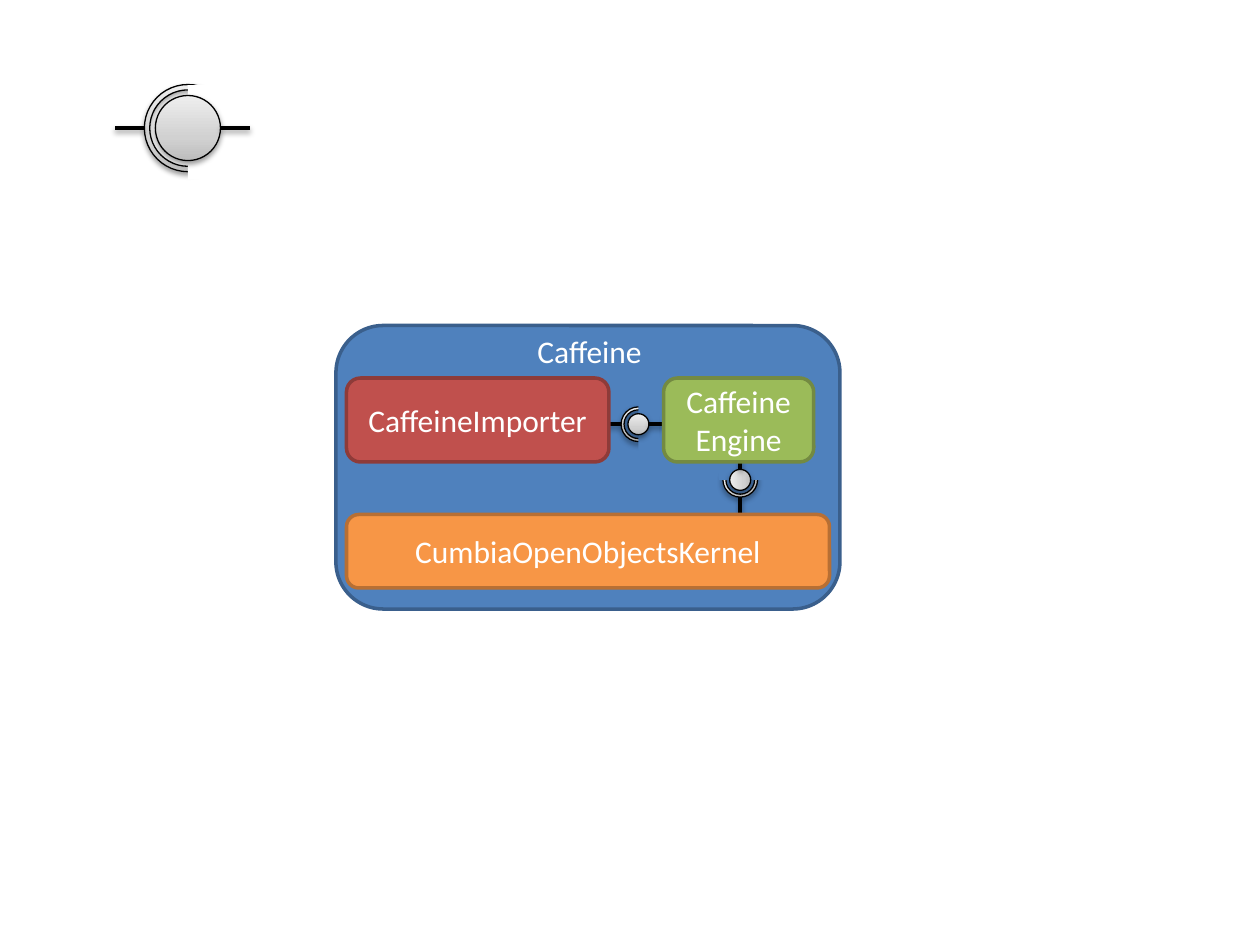
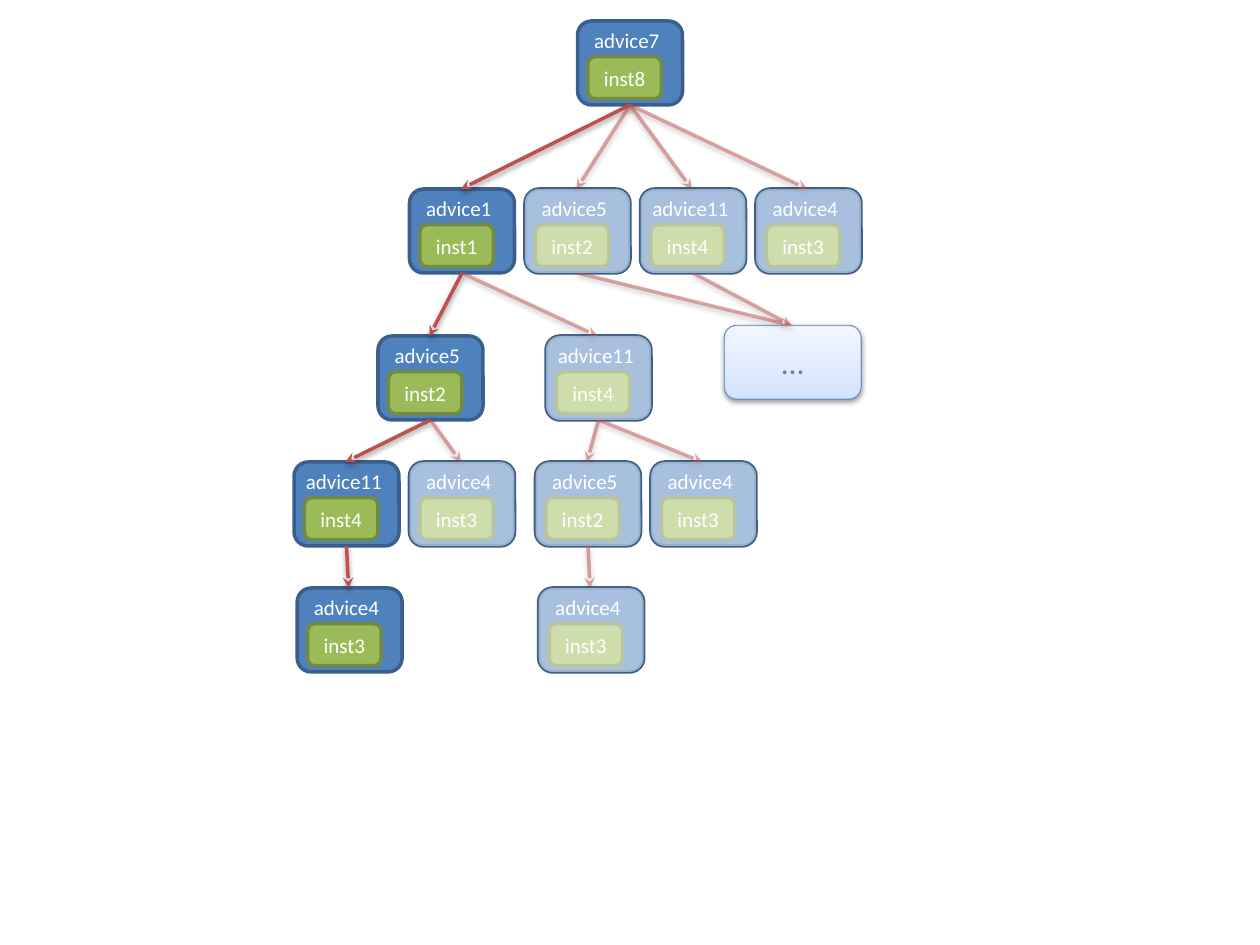
"""Draw a component diagram and an advice tree on a grid of 120 columns by 90 rows."""
from dataclasses import dataclass
from typing import Any, NamedTuple, Optional

from lxml import etree
from pptx import Presentation
from pptx import util as u
from pptx.dml.color import RGBColor
from pptx.enum import shapes, text
from pptx.oxml import ns

COLOURS = {
    "white": "FFFFFF", "black": "000000", "red": "C0504D", "red_edge": "8E3B39",
    "blue": "4F81BD", "blue_edge": "3A5F8C", "green": "9BBB59", "green_edge": "738A42",
    "orange": "F79646", "orange_edge": "B76F34", "pale_edge": "4B7EBC",
}
GRADIENTS = {
    "grey": ("BDBDBD", "D1D1D1", "EEEEEE"),
    "pale": ("A4C4FF", "BFD4FF", "E6EEFF"),
}
STOPS = (0, 35, 100)
COLUMNS, ROWS = 120, 90
FONT = "Calibri"
SHAPE = shapes.MSO_SHAPE
CELL = u.Inches(10) // COLUMNS


class Box(NamedTuple):
    """A rectangle in grid cells."""
    x: float
    y: float
    w: float
    h: float

    @property
    def top(self) -> tuple[float, float]:
        """Return the middle of the top edge."""
        return self.x + self.w / 2, self.y

    @property
    def bottom(self) -> tuple[float, float]:
        """Return the middle of the bottom edge."""
        return self.x + self.w / 2, self.y + self.h


@dataclass(frozen=True)
class Socket:
    """A ball-and-socket joint, turned a quarter to the left if upright."""
    x: float
    y: float
    ring: float
    ball: float
    mask: tuple[float, float]
    drop: float
    band: float
    ground: str
    upright: bool = False


@dataclass(frozen=True)
class Component:
    """A coloured box of the component diagram."""
    label: str
    box: Box
    colour: str


@dataclass(frozen=True)
class Node:
    """An advice with its instance; active nodes lie on the chosen way."""
    x: float
    y: float
    advice: int
    inst: int
    active: bool = False

    @property
    def box(self) -> Box:
        """Return the outline of the node."""
        return Box(self.x, self.y, 10, 8)


LEAD = 2.8
SMALL = {"ring": 3.3, "ball": 2, "mask": (2, 5), "drop": 0.5, "band": 0.086, "ground": "blue"}
SOCKETS = [
    Socket(60.8, 40.4, **SMALL),
    Socket(70.5, 45.7, upright=True, **SMALL),
    Socket(17.9, 12.2, 8.3, 6.2, (4.8, 9), 0.4, 0.062, "white"),
]
COMPONENTS = [
    Component("CaffeineImporter", Box(33, 36, 25, 8), "red"),
    Component("Caffeine\vEngine", Box(63.2, 36, 14.3, 8), "green"),
    Component("CumbiaOpenObjectsKernel", Box(33, 49, 46, 7), "orange"),
]
NODES = {
    "root": Node(55, 2, 7, 8, True),
    "a": Node(39, 18, 1, 1, True),
    "b": Node(50, 18, 5, 2),
    "c": Node(61, 18, 11, 4),
    "d": Node(72, 18, 4, 3),
    "aa": Node(36, 32, 5, 2, True),
    "ab": Node(52, 32, 11, 4),
    "aaa": Node(28, 44, 11, 4, True),
    "aab": Node(39, 44, 4, 3),
    "aba": Node(51, 44, 5, 2),
    "abb": Node(62, 44, 4, 3),
    "aaaa": Node(28.3, 56, 4, 3, True),
    "abaa": Node(51.3, 56, 4, 3),
}
CHILDREN = {
    "root": ("a", "d", "c", "b"), "a": ("aa", "ab"), "aa": ("aaa", "aab"),
    "ab": ("aba", "abb"), "aaa": ("aaaa",), "aba": ("abaa",),
}
MORE = Box(69, 31, 13, 7)


def rgb(name: str) -> RGBColor:
    """Return a named colour."""
    return RGBColor.from_string(COLOURS[name])


def emu(*cells: float) -> list[int]:
    """Turn grid cells into slide lengths."""
    return [round(c * CELL) for c in cells]


def add(parent: Any, tag: str, **attrs: Any) -> Any:
    """Append a drawing element with attributes."""
    return etree.SubElement(parent, ns.qn(tag), {k: str(v) for k, v in attrs.items()})


def fade(part: Any, percent: int) -> None:
    """Make the first colour inside a drawing element see-through."""
    add(next(part.iter(ns.qn("a:srgbClr"))), "a:alpha", val=percent * 1000)


def set_effects(sp: Any, shadow: bool) -> None:
    """Give an object a soft shadow, or none."""
    effects = add(sp._element.spPr, "a:effectLst")
    if shadow:
        outer = add(effects, "a:outerShdw", blurRad=u.Pt(3.1), dist=u.Pt(1.6),
                    dir=5400000, rotWithShape=0)
        add(add(outer, "a:srgbClr", val=COLOURS["black"]), "a:alpha", val=38000)


def set_gradient(sp: Any, name: str) -> None:
    """Fill a shape with a gradient that runs upwards."""
    grad = etree.Element(ns.qn("a:gradFill"), {"rotWithShape": "1"})
    stops = add(grad, "a:gsLst")
    for pos, colour in zip(STOPS, GRADIENTS[name]):
        add(add(stops, "a:gs", pos=pos * 1000), "a:srgbClr", val=colour)
    add(grad, "a:lin", ang=16200000, scaled=0)
    sp._element.spPr.find(ns.qn("a:prstGeom")).addnext(grad)


def write(sp: Any, words: str, *, size: float = 18, colour: str = "white",
          align: Any = text.PP_ALIGN.CENTER, anchor: Any = text.MSO_ANCHOR.MIDDLE,
          wrap: bool = True) -> None:
    """Put formatted text into a shape."""
    tf = sp.text_frame
    tf.word_wrap, tf.vertical_anchor = wrap, anchor
    p = tf.paragraphs[0]
    p.text, p.alignment = words, align
    for r in p.runs:
        r.font.name, r.font.size, r.font.color.rgb = FONT, u.Pt(size), rgb(colour)


def draw_caption(s: Any, words: str, box: Box, **style: Any) -> None:
    """Add a text box that starts at its top left."""
    write(s.shapes.add_textbox(*emu(*box)), words, align=text.PP_ALIGN.LEFT,
          anchor=text.MSO_ANCHOR.TOP, **style)


def draw_shape(s: Any, kind: Any, box: Box, fill: str, *, edge: Optional[str] = None,
               width: float = 2, shadow: bool = False, alpha: int = 100) -> Any:
    """Add a preset shape with its fill, edge and shadow."""
    sp = s.shapes.add_shape(kind, *emu(*box))
    if fill in GRADIENTS:
        set_gradient(sp, fill)
    else:
        sp.fill.solid()
        sp.fill.fore_color.rgb = rgb(fill)
        if alpha < 100:
            fade(sp._element.spPr, alpha)
    if edge:
        sp.line.color.rgb, sp.line.width = rgb(edge), u.Pt(width)
    else:
        sp.line.fill.background()
    set_effects(sp, shadow)
    return sp


def draw_card(s: Any, box: Box, colour: str) -> Any:
    """Add a rounded box with a darker edge of its own colour."""
    return draw_shape(s, SHAPE.ROUNDED_RECTANGLE, box, colour, edge=f"{colour}_edge")


def draw_line(s: Any, start: tuple[float, float], end: tuple[float, float], colour: str,
              *, arrow: bool = False, alpha: int = 100) -> None:
    """Add a straight line with a shadow."""
    c = s.shapes.add_connector(shapes.MSO_CONNECTOR.STRAIGHT, *emu(*start, *end))
    c.line.color.rgb, c.line.width = rgb(colour), u.Pt(2)
    ln = c._element.spPr.find(ns.qn("a:ln"))
    if alpha < 100:
        fade(ln, alpha)
    if arrow:
        add(ln, "a:tailEnd", type="stealth")
    set_effects(c, True)


def draw_socket(s: Any, k: Socket) -> None:
    """Add a ball, a half ring around it and a lead on each side."""
    def place(dx: float, dy: float) -> tuple[float, float]:
        """Turn an offset from the centre into a position."""
        return (k.x + dy, k.y - dx) if k.upright else (k.x + dx, k.y + dy)

    def part(kind: Any, w: float, h: float, dx: float, dy: float, fill: str,
             **style: Any) -> Any:
        """Add one centred part of the socket."""
        x, y = place(dx, dy)
        sp = draw_shape(s, kind, Box(x - w / 2, y - h / 2, w, h), fill, **style)
        sp.rotation = 270 if k.upright else 0
        return sp

    metal = {"fill": "grey", "edge": "black", "width": 0.75, "shadow": True}
    ring = part(SHAPE.DONUT, k.ring, k.ring, 0, 0, **metal)
    ring.adjustments[0] = k.band
    part(SHAPE.RECTANGLE, *k.mask, k.mask[0] / 2, k.drop, k.ground)
    part(SHAPE.OVAL, k.ball, k.ball, 0, 0, **metal)
    for near, side in ((k.ring / 2, -1), (k.ball / 2, 1)):
        draw_line(s, place(side * near, 0), place(side * (near + LEAD), 0), "black")


def draw_node(s: Any, n: Node) -> None:
    """Add an advice card that holds its instance."""
    g = s.shapes.add_group_shape()
    draw_card(g, n.box, "blue")
    write(draw_card(g, Box(n.x + 1, n.y + 3.4, 7, 4), "green"), f"inst{n.inst}", size=12)
    label = f"advice{n.advice}"
    w = 8.8 + 0.9 * (len(label) - 7)
    draw_caption(g, label, Box(n.x + 4.8 - w / 2, n.y, w, 3.6), size=12, wrap=False)


def draw_edge(s: Any, start: Box, end: Box, active: bool = False) -> None:
    """Add an arrow from one box down to another."""
    x, y = end.top
    draw_line(s, start.bottom, (x - 0.1, y), "red", arrow=True, alpha=100 if active else 50)


def build_components(s: Any) -> None:
    """Draw the component diagram."""
    draw_card(s, Box(32, 31, 48, 27), "blue")
    draw_caption(s, "Caffeine", Box(50, 31, 13, 4.8))
    for k in SOCKETS:
        draw_socket(s.shapes.add_group_shape() and s, k)
    for c in COMPONENTS:
        write(draw_card(s, c.box, c.colour), c.label)


def build_tree(s: Any) -> None:
    """Draw the advice tree and veil what is not on the chosen way."""
    for n in NODES.values():
        draw_node(s, n)
    more = draw_shape(s, SHAPE.ROUNDED_RECTANGLE, MORE, "pale", edge="pale_edge",
                      width=0.75, shadow=True)
    write(more, "…", colour="black")
    for parent, children in CHILDREN.items():
        for child in children:
            draw_edge(s, NODES[parent].box, NODES[child].box, NODES[child].active)
    for parent in ("b", "c"):
        draw_edge(s, NODES[parent].box, MORE)
    for box in [n.box for n in NODES.values() if not n.active] + [MORE]:
        draw_shape(s, SHAPE.ROUNDED_RECTANGLE, box, "white", alpha=50)


def main() -> None:
    """Build both slides and save them."""
    prs = Presentation()
    prs.slide_width, prs.slide_height = emu(COLUMNS, ROWS)
    for build in (build_components, build_tree):
        build(prs.slides.add_slide(prs.slide_layouts[6]))
    prs.save("out.pptx")


main()
